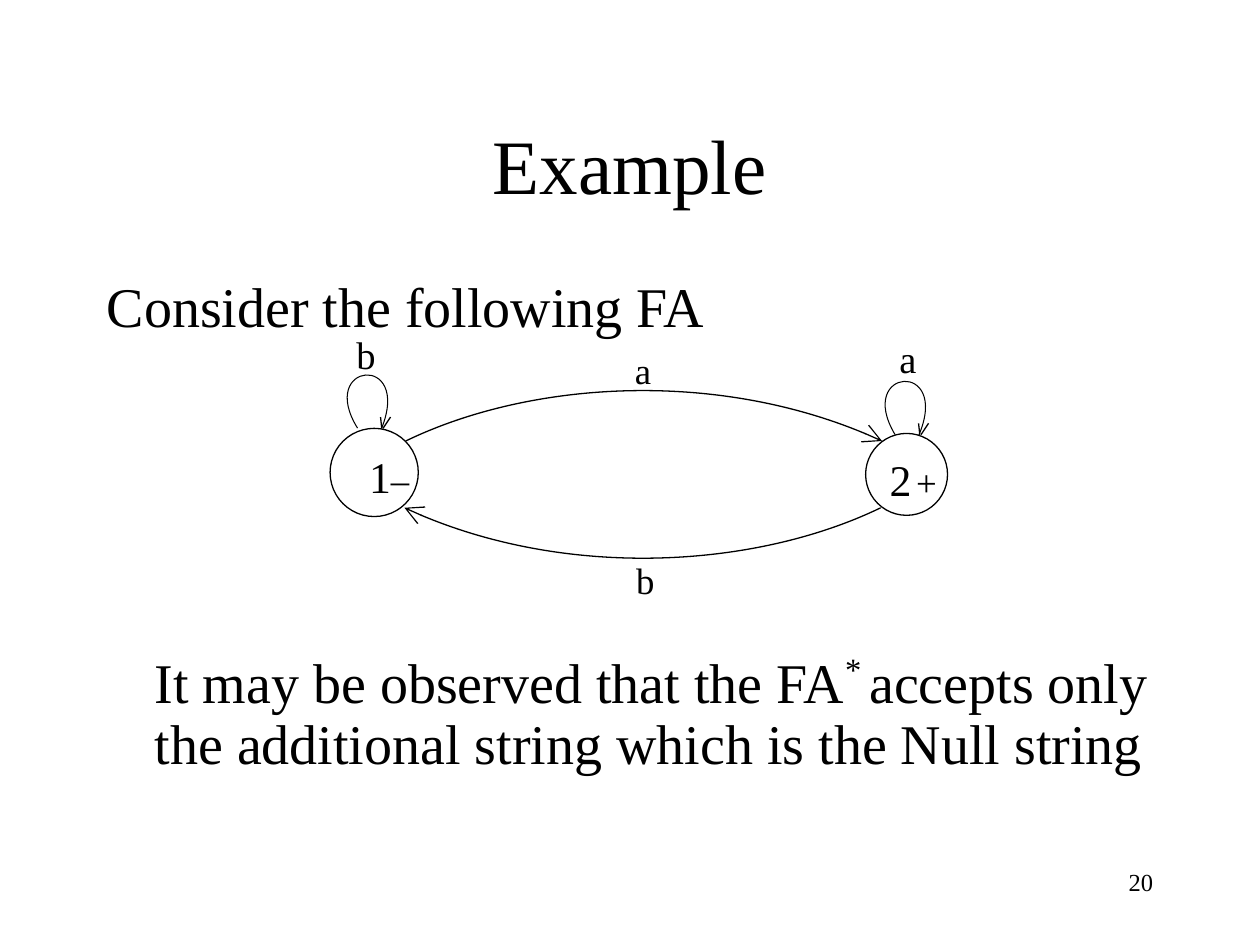
from lxml.etree import SubElement
from pptx import Presentation
from pptx.dml.color import RGBColor
from pptx.enum.shapes import MSO_SHAPE
from pptx.enum.text import MSO_ANCHOR, PP_ALIGN
from pptx.oxml.ns import qn
from pptx.util import Inches, Pt

COLORS = {"ink": "000000", "paper": "FFFFFF"}
INK = RGBColor.from_string(COLORS["ink"])
PAPER = RGBColor.from_string(COLORS["paper"])
FONT = "Times New Roman"

presentation = Presentation()
presentation.slide_width = Inches(10)
presentation.slide_height = Inches(7.5)
slide = presentation.slides.add_slide(presentation.slide_layouts[6])


def add_text(*paragraphs, box, size=21, align=PP_ALIGN.LEFT, anchor=MSO_ANCHOR.TOP,
             spacing=1.0, gap=0, last_indent=0, inset=(0.1, 0.05)):
    """Each paragraph is a string, or a list of (text, size, baseline percent) runs."""
    text_box = slide.shapes.add_textbox(*map(Inches, box))
    frame = text_box.text_frame
    frame.word_wrap = True
    frame.vertical_anchor = anchor
    frame.margin_left, frame.margin_top = map(Inches, inset)
    for index, runs in enumerate(paragraphs):
        paragraph = frame.add_paragraph() if index else frame.paragraphs[0]
        paragraph.alignment = align
        paragraph.line_spacing = spacing
        if index:
            paragraph.space_before = Pt(gap)
            paragraph._p.get_or_add_pPr().set("marL", str(Inches(last_indent)))
        for text, run_size, baseline in [(runs, size, 0)] if isinstance(runs, str) else runs:
            run = paragraph.add_run()
            run.text = text
            run.font.name = FONT
            run.font.size = Pt(run_size)
            run.font.color.rgb = INK
            if baseline:
                run.font._element.set("baseline", str(baseline * 1000))


def add_path(points, line_width=0.75, rotation=0, arrow=False):
    """Draw two points as a line, or four control points as a cubic Bézier curve."""
    corners = [(Inches(x), Inches(y)) for x, y in points]
    builder = slide.shapes.build_freeform(*corners[0])
    builder.add_line_segments(corners[1:], close=False)
    shape = builder.convert_to_shape()
    shape.shadow.inherit = False
    shape.fill.background()
    shape.line.color.rgb = INK
    shape.line.width = Pt(line_width)
    shape.rotation = rotation
    if len(points) == 4:
        path = next(shape._element.iter(qn("a:path")))
        curve = SubElement(path, qn("a:cubicBezTo"))
        for segment in path.findall(qn("a:lnTo")):
            curve.append(segment[0])
            path.remove(segment)
    if arrow:
        SubElement(shape.line._get_or_add_ln(), qn("a:tailEnd"),
                   type="arrow", w="lg", len="lg")


add_text("Example", box=(0.75, 0.67, 8.5, 1.25), size=44,
         align=PP_ALIGN.CENTER, anchor=MSO_ANCHOR.MIDDLE)
add_text("Consider the following FA",
         [("It may be observed that the FA", 32, 0), ("* ", 32, 40),
          ("accepts only the additional string which is the Null string", 32, 0)],
         box=(0.75, 2.17, 8.5, 4.5), size=32, spacing=0.9, gap=180, last_indent=0.38)

# States
states = [
    (2.62, 3.4, 0.7, (2.6, 3.33), 0.33, [("1", 25, 0), ("–", 21, 0)]),
    (6.87, 3.44, 0.65, (6.77, 3.35), 0.29, [("2", 25, 0), (" ", 11, 0), ("+", 21, 0)]),
]
for left, top, diameter, label_corner, label_inset, label in states:
    circle = slide.shapes.add_shape(MSO_SHAPE.OVAL, Inches(left), Inches(top),
                                    Inches(diameter), Inches(diameter))
    circle.shadow.inherit = False
    circle.fill.solid()
    circle.fill.fore_color.rgb = PAPER
    circle.line.color.rgb = INK
    circle.line.width = Pt(0.75)
    add_text(label, box=(*label_corner, 0.98, 0.68), inset=(label_inset, 0.24))

# Transitions between the states
add_path([(3.22, 3.5), (4.19, 3.03), (5.75, 2.92), (7, 3.5)], arrow=True)
add_path([(6.99, 4.03), (6.02, 4.5), (4.45, 4.61), (3.21, 4.03)], arrow=True)

# Loops, each with a two-stroke arrowhead
loop = [(2.86, 3.4), (2.5, 2.9), (3.25, 2.77), (3.05, 3.39)]
head_strokes = [[(3.04, 3.4), (3.1, 3.31)], [(3.02, 3.31), (3.03, 3.4)]]
for shift_x, shift_y, rotation in [(0, 0, 4), (4.27, 0.05, 5)]:
    for points, line_width, turn in [(loop, 0.6, rotation),
                                     *((stroke, 0.75, 0) for stroke in head_strokes)]:
        add_path([(x + shift_x, y + shift_y) for x, y in points], line_width, turn)

for letter, box, size in [("b", (2.73, 2.58, 0.84, 0.56), 22),
                          ("a", (7.04, 2.61, 0.84, 0.56), 22),
                          ("a", (4.94, 2.71, 0.33, 0.33), 21),
                          ("b", (4.95, 4.38, 0.39, 0.46), 21)]:
    add_text(letter, box=box, size=size)

add_text("20", box=(7.17, 6.83, 2.08, 0.5), size=14, align=PP_ALIGN.RIGHT)

presentation.save("out.pptx")
